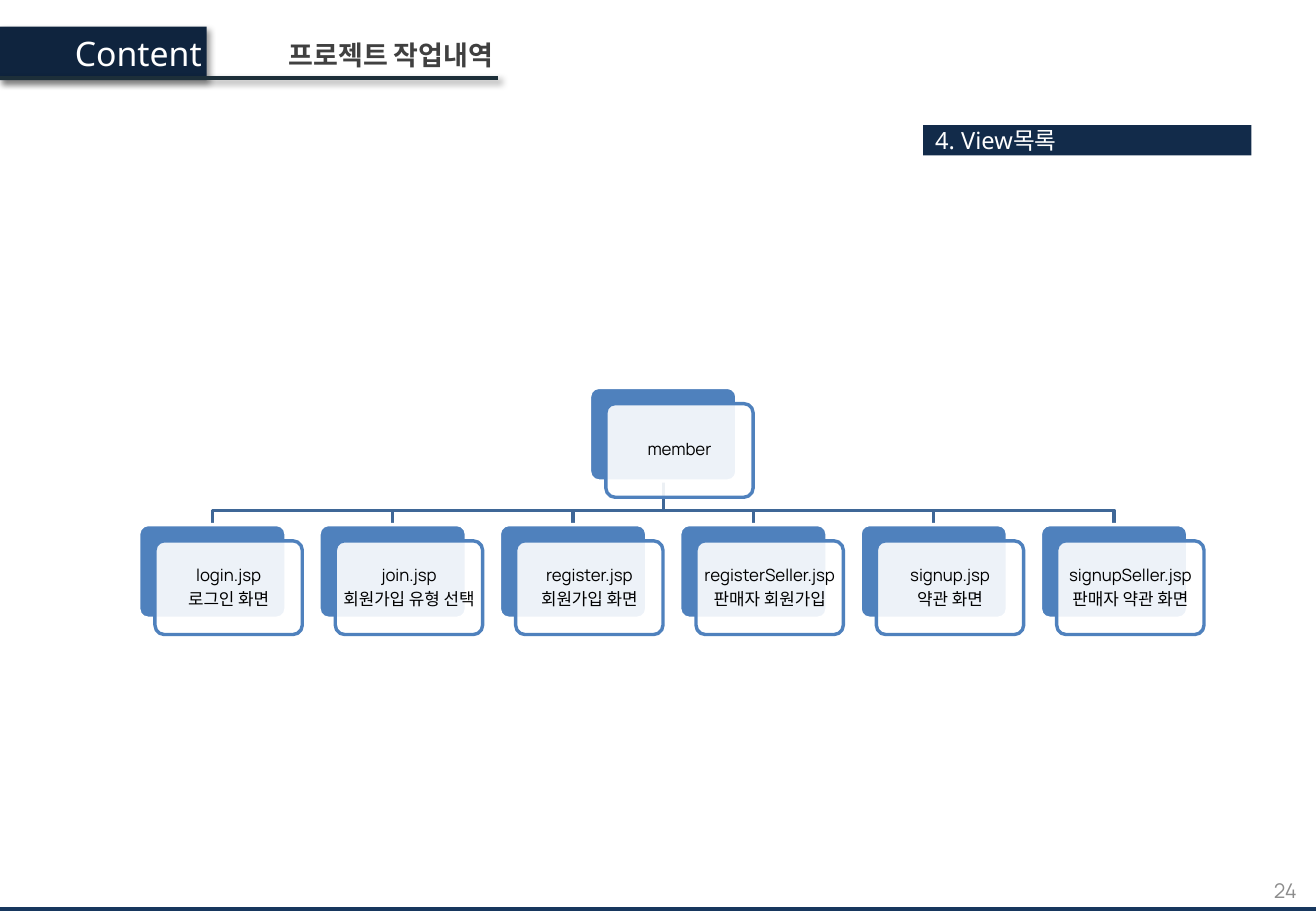
from lxml import etree
from pptx import Presentation
from pptx import util as u
from pptx.dml import color
from pptx.enum import shapes, text
from pptx.oxml import ns

NAVY, BLUE, WHITE = "0F243E", "4F81BD", "FFFFFF"
LEFT, CENTER, RIGHT = text.PP_ALIGN.LEFT, text.PP_ALIGN.CENTER, text.PP_ALIGN.RIGHT
NODE_WIDTH, NODE_HEIGHT, NODE_OFFSET = 3.08, 1.96, 0.34
FIRST_LEFT, NODE_STEP = 2.9, 3.77
ROOT_TOP, BRANCH_TOP, VIEW_TOP = 8.1, 10.67, 10.97
VIEWS = [
    ("login.jsp", "로그인 화면"),
    ("join.jsp", "회원가입 유형 선택"),
    ("register.jsp", "회원가입 화면"),
    ("registerSeller.jsp", "판매자 회원가입"),
    ("signup.jsp", "약관 화면"),
    ("signupSeller.jsp", "판매자 약관 화면"),
]


def rgb(value):
    return color.RGBColor.from_string(value)


def add_child(parent, tag, **attributes):
    return etree.SubElement(parent, ns.qn(tag), attributes)


def write(shape, *lines, size, ink, font="Manrope", bold=False, align=LEFT,
          anchor=text.MSO_ANCHOR.MIDDLE, inset=None, spacing=None, after=None):
    frame = shape.text_frame
    frame.word_wrap = True
    frame.vertical_anchor = anchor
    if inset is not None:
        frame.margin_left = frame.margin_right = u.Cm(inset)
        frame.margin_top = frame.margin_bottom = u.Cm(inset)
    for index, line in enumerate(lines):
        paragraph = frame.add_paragraph() if index else frame.paragraphs[0]
        paragraph.alignment = align
        if spacing is not None:
            paragraph.line_spacing = spacing
        if after is not None:
            paragraph.space_after = u.Pt(after)
        run = paragraph.add_run()
        run.text = line
        run.font.name, run.font.size, run.font.bold = font, u.Pt(size), bold
        run.font.color.rgb = rgb(ink)


class Canvas:
    """Draws styled elements on one slide, with lengths in centimetres."""

    def __init__(self, slide):
        self.shapes = slide.shapes

    def set_effects(self, shape, shadow):
        effects = add_child(shape._element.spPr, "a:effectLst")
        if shadow:
            outer = add_child(effects, "a:outerShdw", blurRad=str(u.Pt(4)), dist=str(u.Pt(3)),
                              dir="2700000", algn="tl", rotWithShape="0")
            black = add_child(outer, "a:srgbClr", val="000000")
            add_child(black, "a:alpha", val="40000")

    def box(self, left, top, width, height, fill, line=None, rounded=False,
            opacity=100, shadow=False):
        kind = shapes.MSO_SHAPE.ROUNDED_RECTANGLE if rounded else shapes.MSO_SHAPE.RECTANGLE
        shape = self.shapes.add_shape(kind, u.Cm(left), u.Cm(top), u.Cm(width), u.Cm(height))
        if rounded:
            shape.adjustments[0] = 0.1
        shape.fill.solid()
        shape.fill.fore_color.rgb = rgb(fill)
        if opacity < 100:
            tint = shape._element.spPr.find(".//" + ns.qn("a:srgbClr"))
            add_child(tint, "a:alpha", val=str(opacity * 1000))
        if line:
            shape.line.color.rgb = rgb(line)
            shape.line.width = u.Pt(2)
        else:
            shape.line.fill.background()
        self.set_effects(shape, shadow)
        return shape

    def label(self, left, top, width, height, content, **style):
        write(self.shapes.add_textbox(u.Cm(left), u.Cm(top), u.Cm(width), u.Cm(height)),
              content, **style)

    def rule(self, left, right, top, ink):
        line = self.shapes.add_connector(shapes.MSO_CONNECTOR.STRAIGHT,
                                         u.Cm(left), u.Cm(top), u.Cm(right), u.Cm(top))
        line.line.color.rgb = rgb(ink)
        line.line.width = u.Pt(2.25)
        self.set_effects(line, True)

    def branch(self, *points):
        start, *rest = [(u.Cm(x), u.Cm(y)) for x, y in points]
        builder = self.shapes.build_freeform(*start)
        builder.add_line_segments(rest, close=False)
        shape = builder.convert_to_shape()
        shape.fill.background()
        shape.line.color.rgb = rgb("3F6797")
        shape.line.width = u.Pt(2)
        self.set_effects(shape, False)

    def node(self, left, top, *lines):
        self.box(left, top, NODE_WIDTH, NODE_HEIGHT, BLUE, WHITE, rounded=True)
        card = self.box(left + NODE_OFFSET, top + NODE_OFFSET, NODE_WIDTH, NODE_HEIGHT,
                        WHITE, BLUE, rounded=True, opacity=90)
        write(card, *lines, size=10, ink="000000", align=CENTER,
              inset=0.1, spacing=0.9, after=3.5)


def main():
    presentation = Presentation()
    presentation.slide_width, presentation.slide_height = u.Cm(27.51), u.Cm(19.05)
    canvas = Canvas(presentation.slides.add_slide(presentation.slide_layouts[6]))

    canvas.box(-0.25, 18.97, 27.99, 0.23, "17375E")
    canvas.label(20.93, 18.11, 6.43, 1.02, "24", size=12, ink="8C8C8C", align=RIGHT)
    section = canvas.box(19.3, 2.62, 6.86, 0.63, "122B4A")
    write(section, "4. View목록", size=14, ink=WHITE, font="Noto Sans")

    canvas.box(-0.03, 0.56, 4.35, 1.12, NAVY, shadow=True)
    canvas.label(0.77, 0.56, 3.7, 1.12, "Content", size=20, ink=WHITE, font="Noto Sans",
                 align=RIGHT, anchor=text.MSO_ANCHOR.TOP)
    canvas.label(5.38, 0.69, 5.18, 0.94, "프로젝트 작업내역", size=16, ink="404040", bold=True,
                 align=RIGHT, anchor=text.MSO_ANCHOR.TOP)
    canvas.rule(-0.03, 10.41, 1.63, "1D2F39")

    view_lefts = [FIRST_LEFT + index * NODE_STEP for index in range(len(VIEWS))]
    root_left = (view_lefts[0] + view_lefts[-1]) / 2
    root_center = root_left + NODE_WIDTH / 2
    for left in view_lefts:
        center = left + NODE_WIDTH / 2
        canvas.branch((root_center, ROOT_TOP + NODE_HEIGHT), (root_center, BRANCH_TOP),
                      (center, BRANCH_TOP), (center, VIEW_TOP))
    canvas.node(root_left, ROOT_TOP, "member")
    for left, lines in zip(view_lefts, VIEWS):
        canvas.node(left, VIEW_TOP, *lines)

    presentation.save("out.pptx")


if __name__ == "__main__":
    main()
